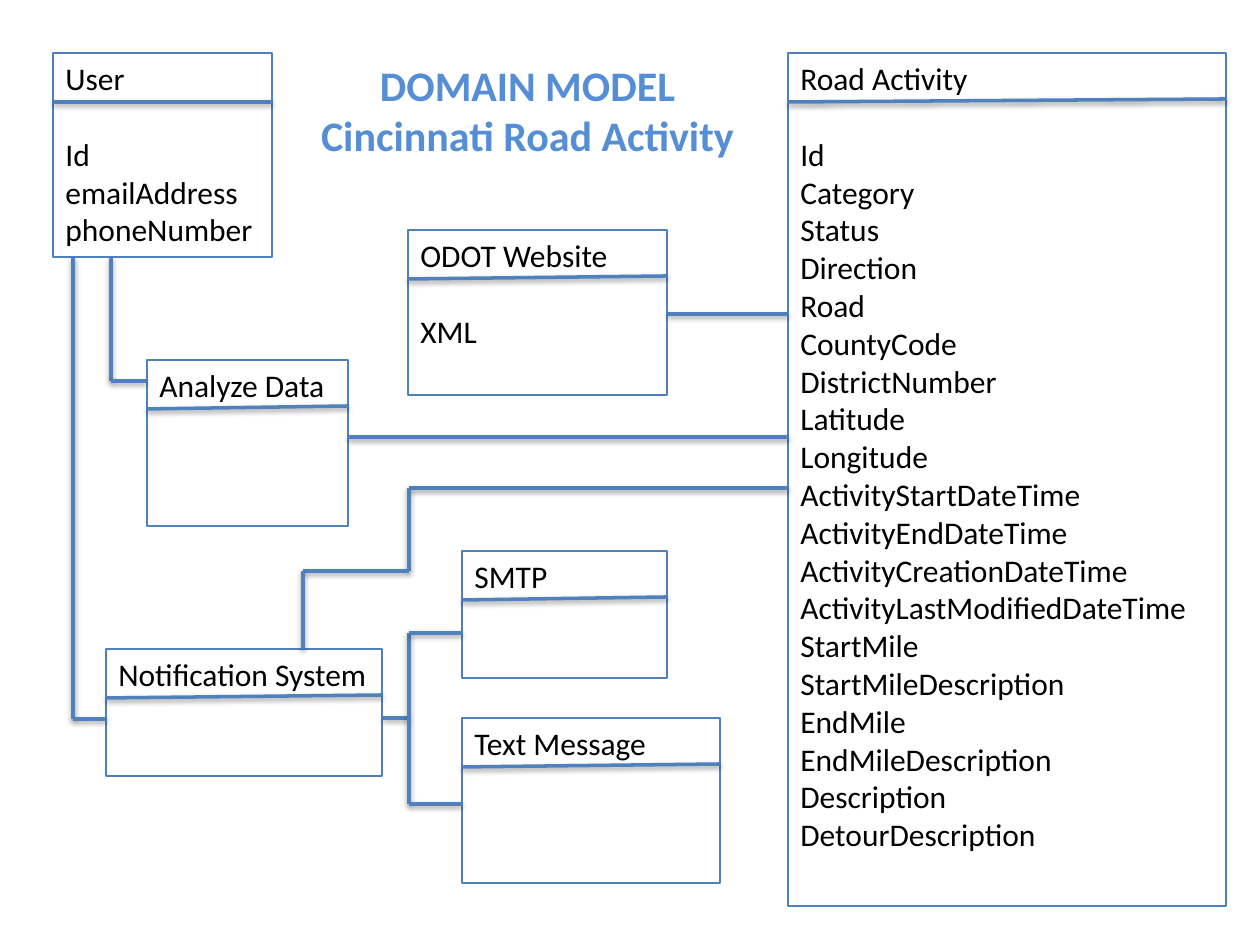
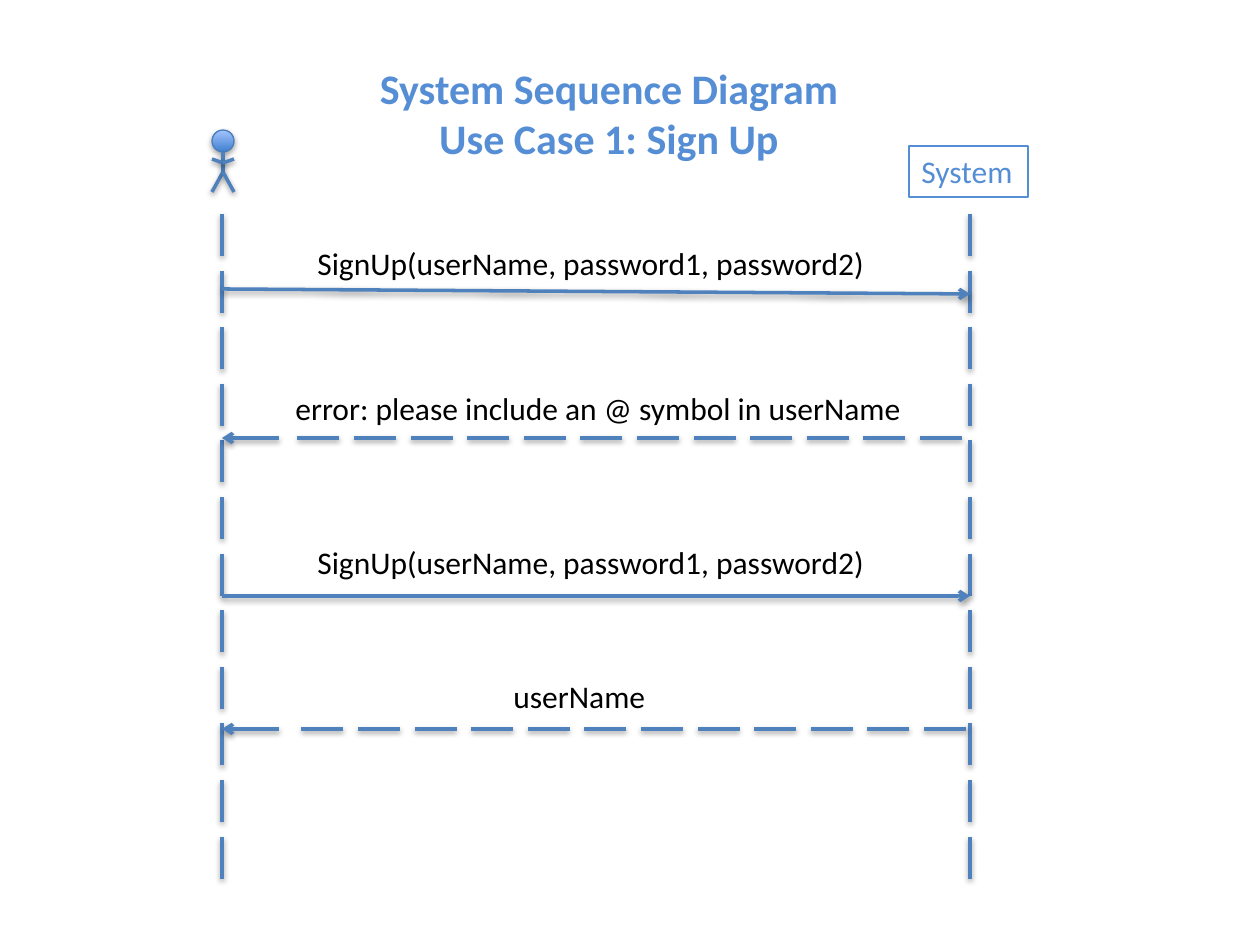
from itertools import pairwise
from pptx import Presentation
from pptx.dml.color import RGBColor
from pptx.enum import shapes, text
from pptx.oxml import parse_xml
from pptx.oxml.ns import nsdecls
from pptx.util import Pt

INK = {"line": "4F81BD", "title": "558ED5", "text": "000000", "rim": "4B7EBC",
       "low": "3F80CE", "high": "A4C4FF"}
FONT = "Calibri"
SCALE = 914400 / 126
LEFT, MID = text.PP_ALIGN.LEFT, text.PP_ALIGN.CENTER


def px(*nums):
    return [round(n * SCALE) for n in nums]


def hue(name):
    return RGBColor.from_string(INK[name])


def write(frame, lines, size=18, color="text", bold=False, align=LEFT, wrap=True, gap=0):
    frame.word_wrap = wrap
    frame.auto_size = text.MSO_AUTO_SIZE.NONE
    frame.vertical_anchor = text.MSO_ANCHOR.TOP
    frame.text = "\n".join(lines)
    for i, para in enumerate(frame.paragraphs):
        para.alignment = align
        para.space_before = Pt(gap if i == 1 else 0)
        font = para.runs[0].font
        font.name, font.size, font.bold = FONT, Pt(size), bold
        font.color.rgb = hue(color)


def shade(item, alpha=38):
    item._element.spPr.append(parse_xml(
        f'<a:effectLst {nsdecls("a")}><a:outerShdw blurRad="{Pt(3.1)}" dist="{Pt(1.6)}" '
        f'dir="5400000" rotWithShape="0"><a:srgbClr val="{INK["text"]}">'
        f'<a:alpha val="{alpha}000"/></a:srgbClr></a:outerShdw></a:effectLst>'))


def path(tree, *dots, arrow=False):
    for start, end in pairwise(dots):
        wire = tree.add_connector(shapes.MSO_CONNECTOR.STRAIGHT, *px(*start, *end))
        wire.line.color.rgb = hue("line")
        wire.line.width = Pt(2)
        if arrow:
            wire.line._get_or_add_ln().append(
                parse_xml(f'<a:tailEnd {nsdecls("a")} type="arrow"/>'))
        shade(wire)


def frame(tree, box, color):
    rect = tree.add_shape(shapes.MSO_SHAPE.RECTANGLE, *px(*box))
    rect.shadow.inherit = False
    rect.fill.background()
    rect.line.color.rgb = hue(color)
    rect.line.width = Pt(0.75)
    return rect.text_frame


def head(slide, box, lines):
    title = slide.shapes.title
    title.left, title.top, title.width, title.height = px(*box)
    write(title.text_frame, lines, size=24, color="title", bold=True, align=MID)


def entity(tree, box, lines, rise=3):
    x, y, w, h = box
    write(frame(tree, box, "line"), lines, gap=21.6)
    path(tree, (x, y + 49), (x + w, y + 49 - rise))


def dashes(tree, x, y, dx, dy, count=12, step=56.6, size=42):
    for i in range(count):
        near, far = i * step, i * step + size
        path(tree, (x + dx * near, y + dy * near), (x + dx * far, y + dy * far))


def actor(tree, box):
    x, y, w, h = box
    mid, hip, arm = x + w / 2, y + 42, y + 33
    ball = tree.add_shape(shapes.MSO_SHAPE.OVAL, *px(x, y, w, w))
    ball.fill.gradient()
    ball.fill.gradient_angle = 90
    for stop, name, place in zip(ball.fill.gradient_stops, ("low", "high"), (0, 1)):
        stop.color.rgb = hue(name)
        stop.position = place
    ball.line.color.rgb = hue("rim")
    ball.line.width = Pt(0.75)
    shade(ball, 35)
    path(tree, (mid, y + w), (mid, hip))
    for side in (x, x + w):
        path(tree, (mid, hip), (side, y + h))
        path(tree, (mid, arm), (side, arm - 4))


def label(tree, box, words):
    note = tree.add_textbox(*px(*box))
    write(note.text_frame, [words], wrap=False)


def reply(tree, left, right, y):
    dashes(tree.add_group_shape().shapes, right, y, -1, 0)
    path(tree, (left + 57, y), (left, y), arrow=True)


def domain(slide):
    tree = slide.shapes
    entity(tree, (53, 53, 219, 204), ["User", "Id", "emailAddress", "phoneNumber"], rise=0)
    entity(tree, (408, 230, 259, 165), ["ODOT Website", "XML"])
    entity(tree, (147, 360, 201, 166), ["Analyze Data"])
    entity(tree, (788, 53, 438, 853), [
        "Road Activity", "Id", "Category", "Status", "Direction", "Road", "CountyCode",
        "DistrictNumber", "Latitude", "Longitude", "ActivityStartDateTime",
        "ActivityEndDateTime", "ActivityCreationDateTime", "ActivityLastModifiedDateTime",
        "StartMile", "StartMileDescription", "EndMile", "EndMileDescription",
        "Description", "DetourDescription"])
    entity(tree, (106, 649, 276, 127), ["Notification System"])
    entity(tree, (462, 551, 205, 127), ["SMTP"])
    entity(tree, (462, 718, 258, 165), ["Text Message"])
    for dots in (
            [(111, 257), (111, 381), (146, 381)],
            [(73, 257), (73, 719), (106, 719)],
            [(383, 718), (409, 718), (409, 633), (462, 633)],
            [(409, 718), (409, 804), (462, 804)],
            [(788, 314), (668, 314)],
            [(788, 437), (348, 437)],
            [(788, 488), (409, 488), (409, 571), (303, 571), (303, 649)]):
        path(tree, *dots)
    head(slide, (303, 53, 449, 115), ["DOMAIN MODEL", "Cincinnati Road Activity"])


def signup(slide):
    tree = slide.shapes
    left, right = 222, 970
    head(slide, (366, 56, 486, 115), ["System Sequence Diagram", "Use Case 1: Sign Up"])
    for x in (left, right):
        dashes(tree, x, 214, 0, 1)
    actor(tree.add_group_shape().shapes, (212, 130, 22, 62))
    write(frame(tree, (909, 146, 119, 51), "title"), ["System"], color="title", wrap=False)
    reply(tree, left, 962, 438)
    reply(tree, left, 966, 729)
    path(tree, (left, 289), (right, 294), arrow=True)
    path(tree, (left, 596), (right, 596), arrow=True)
    call = "SignUp(userName, password1, password2)"
    for x, y, w, words in (
            (305, 238, 580, call),
            (283, 383, 638, "error: please include an @ symbol in userName "),
            (305, 537, 580, call),
            (501, 671, 159, "userName")):
        label(tree, (x, y, w, 51), words)


deck = Presentation()
deck.slide_width, deck.slide_height = px(1260, 945)
for draw in (domain, signup):
    draw(deck.slides.add_slide(deck.slide_layouts[5]))
deck.save("out.pptx")
